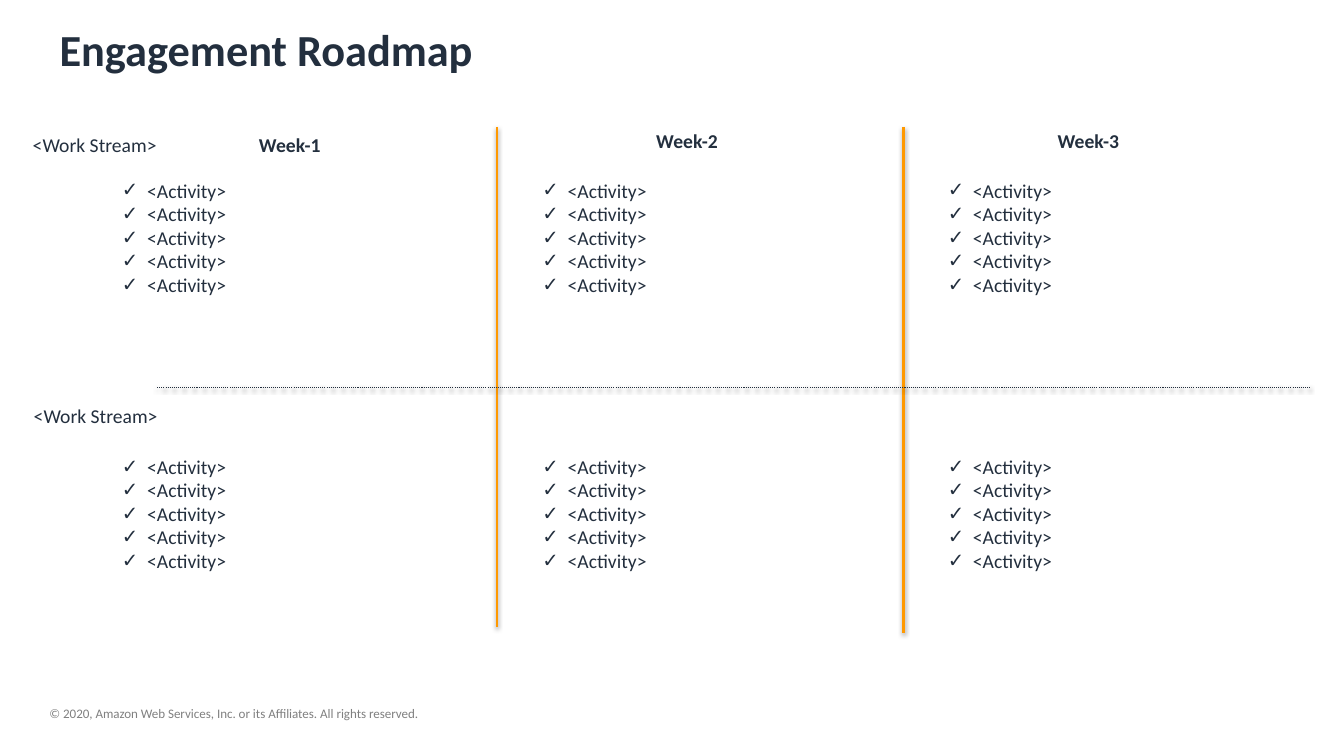
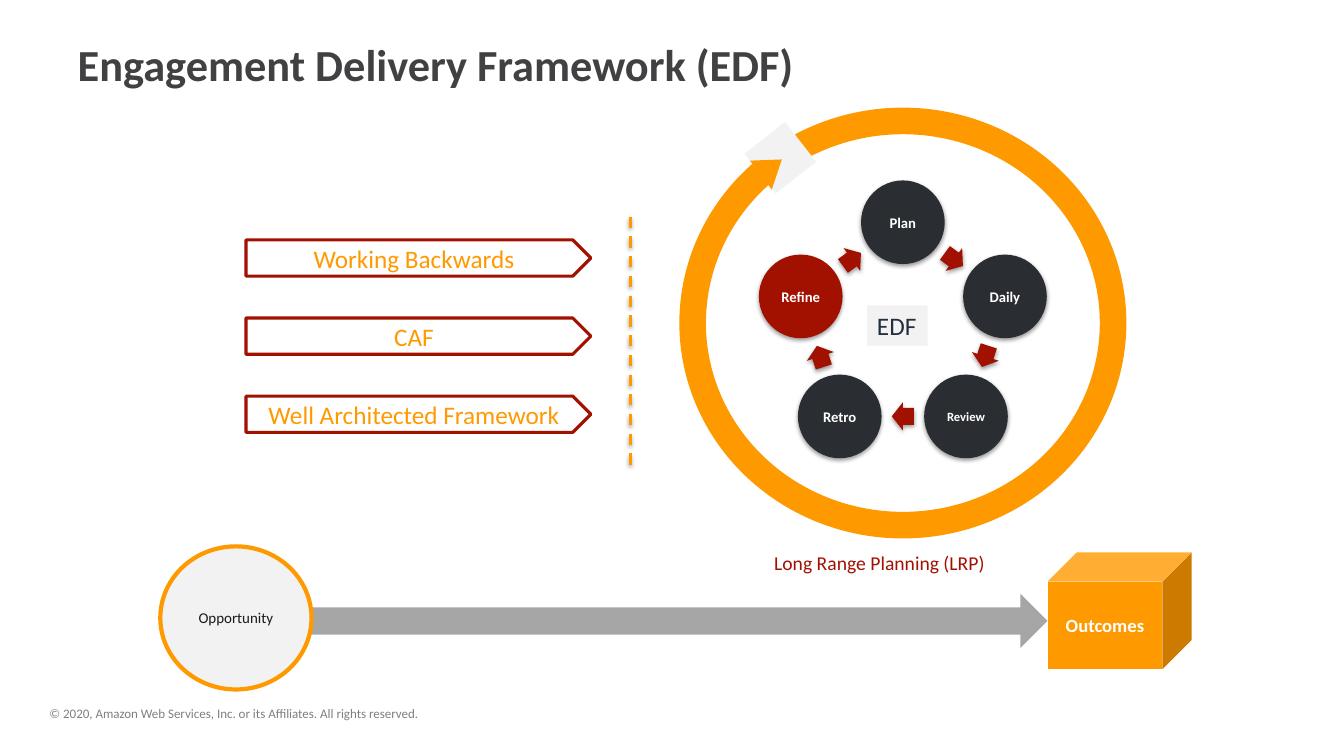
"""Build the engagement roadmap and the engagement delivery framework slides."""
import copy
import math
from dataclasses import dataclass
from typing import Any, Optional

import lxml.etree
import pptx
import pptx.dml.color
import pptx.enum.dml
import pptx.enum.shapes
import pptx.enum.text
import pptx.oxml.ns
import pptx.util

Inches = pptx.util.Inches
Pt = pptx.util.Pt
qn = pptx.oxml.ns.qn
Shape = pptx.enum.shapes.MSO_SHAPE
Align = pptx.enum.text.PP_ALIGN
Anchor = pptx.enum.text.MSO_ANCHOR
Dash = pptx.enum.dml.MSO_LINE


@dataclass(frozen=True)
class Theme:
    font: str = "Calibri"
    navy: str = "232F3E"
    charcoal: str = "414042"
    slate: str = "2A2D32"
    ink: str = "1A1A1A"
    orange: str = "FF9900"
    red: str = "A21000"
    arrow_gray: str = "A6A6A6"
    footer_gray: str = "808080"
    pale: str = "F2F2F2"
    white: str = "FFFFFF"
    title_size: float = 31.7
    large_size: float = 18
    body_size: float = 14
    outcome_size: float = 13.3
    small_size: float = 10.7
    step_size: float = 10.5
    step_small_size: float = 9
    footer_size: float = 9.3


THEME = Theme()


@dataclass(frozen=True)
class Box:
    left: float
    top: float
    width: float
    height: float

    def lengths(self) -> list[int]:
        return [Inches(v) for v in (self.left, self.top, self.width, self.height)]


@dataclass(frozen=True)
class Label:
    text: str
    size: float
    color: str
    bold: bool = False
    align: Any = Align.CENTER
    anchor: Any = Anchor.MIDDLE
    inset: Optional[float] = None
    wrap: bool = True


@dataclass(frozen=True)
class Week:
    name: str
    heading_left: float
    heading_top: float
    list_left: float


@dataclass(frozen=True)
class WorkStream:
    name: str
    label_left: float
    label_top: float
    list_top: float
    activities: tuple[str, ...] = ("<Activity>",) * 5


@dataclass(frozen=True)
class Step:
    name: str
    color: str = THEME.slate
    size: float = THEME.step_size


@dataclass(frozen=True)
class Rule:
    start: tuple[float, float]
    end: tuple[float, float]
    color: str = THEME.orange
    width: float = 2
    dash: Any = None


WEEKS = (
    Week("Week-1", 1.51, 1.23, 1.11),
    Week("Week-2", 5.45, 1.19, 5.28),
    Week("Week-3", 9.43, 1.19, 9.3),
)
STREAMS = (
    WorkStream("<Work Stream>", 0.04, 1.05, 1.72),
    WorkStream("<Work Stream>", 0.05, 3.74, 4.46),
)
ROADMAP_RULES = (
    Rule((4.93, 1.26), (4.93, 6.22)),
    Rule((8.96, 1.26), (8.96, 6.28)),
    Rule((1.56, 3.84), (12.99, 3.84), THEME.navy, 0.75, Dash.ROUND_DOT),
)
STEPS = (
    Step("Plan"),
    Step("Daily"),
    Step("Review", size=THEME.step_small_size),
    Step("Retro"),
    Step("Refine", THEME.red),
)
INPUTS = ("Working Backwards", "CAF", "Well Architected Framework")
COPYRIGHT = "© 2020, Amazon Web Services, Inc. or its Affiliates. All rights reserved."


def rgb(color: str) -> Any:
    return pptx.dml.color.RGBColor.from_string(color)


def assign(target: Any, values: dict[str, Any]) -> None:
    for name, value in values.items():
        setattr(target, name, value)


def add_run(paragraph: Any, text: str, size: float, color: str, bold: bool = False) -> None:
    run = paragraph.add_run()
    run.text = text
    assign(run.font, {"name": THEME.font, "size": Pt(size), "bold": bold})
    run.font.color.rgb = rgb(color)


def write(frame: Any, label: Label) -> None:
    assign(frame, {"word_wrap": label.wrap, "vertical_anchor": label.anchor,
                   "auto_size": pptx.enum.text.MSO_AUTO_SIZE.NONE})
    if label.inset is not None:
        sides = ("margin_left", "margin_top", "margin_right", "margin_bottom")
        assign(frame, dict.fromkeys(sides, Inches(label.inset)))
    paragraph = frame.paragraphs[0]
    paragraph.alignment = label.align
    add_run(paragraph, label.text, label.size, label.color, label.bold)


def cast_shadow(item: Any) -> None:
    properties = item.element.spPr
    effects = properties.find(qn("a:effectLst"))
    if effects is None:
        effects = lxml.etree.SubElement(properties, qn("a:effectLst"))
    shadow = lxml.etree.SubElement(effects, qn("a:outerShdw"), blurRad=str(Pt(3.1)),
                                   dist=str(Pt(1.6)), dir="5400000", rotWithShape="0")
    black = lxml.etree.SubElement(shadow, qn("a:srgbClr"), val="000000")
    lxml.etree.SubElement(black, qn("a:alpha"), val="38000")


def add_figure(shapes: Any, kind: Any, box: Box, fill: Optional[str] = None,
               outline: Optional[tuple[str, float]] = None, label: Optional[Label] = None,
               rotation: float = 0, shadowed: bool = False) -> Any:
    figure = shapes.add_shape(kind, *box.lengths())
    figure.shadow.inherit = False
    figure.rotation = rotation
    if fill:
        figure.fill.solid()
        figure.fill.fore_color.rgb = rgb(fill)
    else:
        figure.fill.background()
    if outline:
        figure.line.color.rgb = rgb(outline[0])
        figure.line.width = Pt(outline[1])
    else:
        figure.line.fill.background()
    if shadowed:
        cast_shadow(figure)
    if label:
        write(figure.text_frame, label)
    return figure


def add_rule(shapes: Any, rule: Rule) -> None:
    ends = [Inches(v) for v in rule.start + rule.end]
    line = shapes.add_connector(pptx.enum.shapes.MSO_CONNECTOR.STRAIGHT, *ends)
    line.line.color.rgb = rgb(rule.color)
    assign(line.line, {"width": Pt(rule.width), "dash_style": rule.dash})
    cast_shadow(line)


def add_text(shapes: Any, box: Box, label: Label) -> Any:
    text = shapes.add_textbox(*box.lengths())
    write(text.text_frame, label)
    return text


def place(placeholder: Any, box: Box) -> None:
    assign(placeholder, dict(zip(("left", "top", "width", "height"), box.lengths())))


def set_title(slide: Any, text: str, box: Box, color: str) -> None:
    place(slide.shapes.title, box)
    write(slide.shapes.title.text_frame,
          Label(text, THEME.title_size, color, True, Align.LEFT, Anchor.TOP))


def fill_checklist(body: Any, box: Box, items: tuple[str, ...]) -> None:
    place(body, box)
    frame = body.text_frame
    assign(frame, {"word_wrap": True, "vertical_anchor": Anchor.TOP,
                   "auto_size": pptx.enum.text.MSO_AUTO_SIZE.NONE})
    for position, item in enumerate(items):
        paragraph = frame.add_paragraph() if position else frame.paragraphs[0]
        properties = paragraph._p.get_or_add_pPr()
        properties.set("marL", str(Inches(0.25)))
        properties.set("indent", str(-Inches(0.25)))
        lxml.etree.SubElement(properties, qn("a:buChar"), char="✓")
        paragraph.space_before = Pt(0)
        add_run(paragraph, item, THEME.body_size, THEME.navy)


def extend_layout(layout: Any, count: int) -> None:
    body = next(p for p in layout.placeholders if p.placeholder_format.idx == 1)
    for number in range(20, 19 + count):
        extra = copy.deepcopy(body.element)
        extra.xpath(".//p:cNvPr")[0].set("id", str(number))
        extra.xpath(".//p:ph")[0].set("idx", str(number))
        layout.shapes.element.append(extra)


def add_master_footer(master: Any, slide: Any) -> None:
    footer = add_text(slide.shapes, Box(0.49, 7, 6.48, 0.16),
                      Label(COPYRIGHT, THEME.footer_size, THEME.footer_gray,
                            align=Align.LEFT, anchor=Anchor.TOP, inset=0))
    footer.element.xpath(".//p:cNvPr")[0].set("id", "20")
    master.shapes.element.append(footer.element)


def build_roadmap(slide: Any) -> None:
    set_title(slide, "Engagement Roadmap", Box(0.49, 0.17, 11.96, 0.8), THEME.navy)
    for rule in ROADMAP_RULES:
        add_rule(slide.shapes, rule)
    for week in WEEKS:
        add_figure(slide.shapes, Shape.ROUNDED_RECTANGLE,
                   Box(week.heading_left, week.heading_top, 2.73, 0.42),
                   label=Label(week.name, THEME.body_size, THEME.navy, True))
    bodies = (p for p in slide.placeholders if p.placeholder_format.idx)
    for stream in STREAMS:
        add_figure(slide.shapes, Shape.ROUNDED_RECTANGLE,
                   Box(stream.label_left, stream.label_top, 1.8, 0.77),
                   label=Label(stream.name, THEME.body_size, THEME.navy))
        for week in WEEKS:
            fill_checklist(next(bodies), Box(week.list_left, stream.list_top, 3.98, 1.75),
                           stream.activities)


def add_cycle(shapes: Any) -> None:
    center_x, center_y, radius, diameter = 8.955, 3.27, 1.065, 0.83
    turn = 360 / len(STEPS)

    def around(angle: float, reach: float, width: float, height: float) -> Box:
        radians = math.radians(angle)
        return Box(center_x + reach * math.sin(radians) - width / 2,
                   center_y - reach * math.cos(radians) - height / 2, width, height)

    for position, step in enumerate(STEPS):
        angle = position * turn
        add_figure(shapes, Shape.OVAL, around(angle, radius, diameter, diameter), step.color,
                   label=Label(step.name, step.size, THEME.white, True, inset=0.02),
                   shadowed=True)
        middle = angle + turn / 2
        arrow = add_figure(shapes, Shape.RIGHT_ARROW, around(middle, 0.86, 0.22, 0.28),
                           THEME.red, rotation=middle, shadowed=True)
        arrow.adjustments[0], arrow.adjustments[1] = 0.6, 0.5


def build_framework(slide: Any) -> None:
    shapes = slide.shapes
    add_figure(shapes, Shape.RIGHT_ARROW, Box(2.05, 5.89, 8.34, 0.54), THEME.arrow_gray)
    set_title(slide, "Engagement Delivery Framework (EDF)", Box(0.67, 0.32, 12, 0.79),
              THEME.charcoal)
    add_cycle(shapes.add_group_shape().shapes)
    add_figure(shapes, Shape.OVAL, Box(6.87, 1.2, 4.17, 4.01), outline=(THEME.orange, 19))
    add_figure(shapes, Shape.RECTANGLE, Box(7.49, 1.31, 0.5, 0.51), THEME.pale, rotation=52)
    add_figure(shapes, Shape.ISOSCELES_TRIANGLE, Box(7.47, 1.53, 0.36, 0.26), THEME.orange,
               rotation=53.2)
    add_text(shapes, Box(7.58, 5.42, 2.31, 0.34),
             Label("Long Range Planning (LRP)", THEME.body_size, THEME.red,
                   align=Align.LEFT, anchor=Anchor.TOP, wrap=False))
    add_figure(shapes, Shape.RECTANGLE, Box(8.6, 3.03, 0.6, 0.4), THEME.pale,
               label=Label("EDF", THEME.large_size, THEME.navy,
                           align=Align.LEFT, anchor=Anchor.TOP, wrap=False))
    add_figure(shapes, Shape.CUBE, Box(10.39, 5.48, 1.43, 1.16), THEME.orange,
               label=Label("Outcomes", THEME.outcome_size, THEME.white, True))
    add_rule(shapes, Rule((6.25, 2.15), (6.25, 4.63), dash=Dash.DASH))
    for position, name in enumerate(INPUTS):
        add_figure(shapes, Shape.PENTAGON, Box(2.44, 2.38 + position * 0.775, 3.42, 0.36),
                   outline=(THEME.red, 2.25),
                   label=Label(name, THEME.large_size, THEME.orange))
    add_figure(shapes, Shape.OVAL, Box(1.59, 5.42, 1.5, 1.42), THEME.pale, (THEME.orange, 3),
               Label("Opportunity", THEME.small_size, THEME.ink))


def main() -> None:
    deck = pptx.Presentation()
    assign(deck, {"slide_width": Inches(13.33), "slide_height": Inches(7.5)})
    extend_layout(deck.slide_layouts[1], len(WEEKS) * len(STREAMS))
    roadmap = deck.slides.add_slide(deck.slide_layouts[1])
    add_master_footer(deck.slide_master, roadmap)
    build_roadmap(roadmap)
    build_framework(deck.slides.add_slide(deck.slide_layouts[5]))
    deck.save("out.pptx")


if __name__ == "__main__":
    main()
